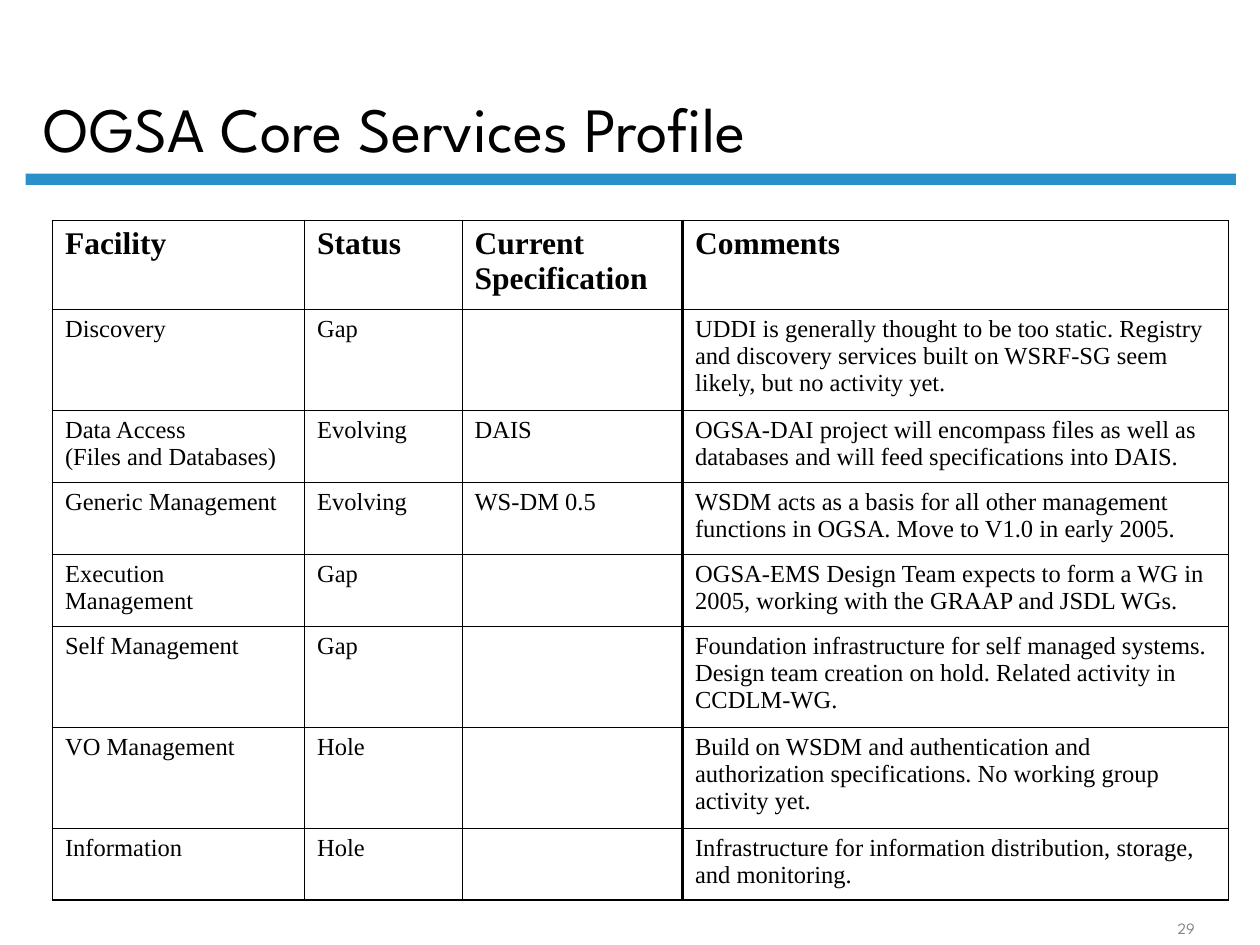
from lxml import etree
from pptx import Presentation
from pptx.dml.color import RGBColor
from pptx.enum import shapes, text
from pptx.oxml.ns import qn
from pptx.util import Pt

THEME = {
    "ink": "000000", "bar": "2990CA", "muted": "848589",
    "display": "League Spartan", "body": "Times New Roman",
    "title": 36, "head": 18, "cell": 14, "page": 9,
    "thin": 0.45, "edge": 1.08, "split": 1.47,
}
TITLE = "OGSA Core Services Profile"
PAGE = "29"
HEADS = ("Facility", "Status", "Current Specification", "Comments")
ROWS = [
    ("Discovery", "Gap", "",
     "UDDI is generally thought to be too static. Registry and discovery "
     "services built on WSRF-SG seem likely, but no activity yet."),
    ("Data Access\n(Files and Databases)", "Evolving", "DAIS",
     "OGSA-DAI project will encompass files as well as databases and will "
     "feed specifications into DAIS."),
    ("Generic Management", "Evolving", "WS-DM 0.5",
     "WSDM acts as a basis for all other management functions in OGSA. "
     "Move to V1.0 in early 2005."),
    ("Execution Management", "Gap", "",
     "OGSA-EMS Design Team expects to form a WG in 2005, working with the "
     "GRAAP and JSDL WGs."),
    ("Self Management", "Gap", "",
     "Foundation infrastructure for self managed systems. Design team "
     "creation on hold. Related activity in CCDLM-WG."),
    ("VO Management", "Hole", "",
     "Build on WSDM and authentication and authorization specifications. "
     "No working group activity yet."),
    ("Information", "Hole", "",
     "Infrastructure for information distribution, storage, and monitoring."),
]
WIDTHS = (144, 90, 126, 312)
HEAD_H = 50.8
LINE_H = {2: 41, 3: 57.9}
LINES = (3, 2, 2, 2, 3, 3, 2)


def style(frame, face, size, color, bold=False):
    for par in frame.paragraphs:
        for run in par.runs:
            form = {"name": face, "size": Pt(size), "bold": bold}
            for key, val in form.items():
                setattr(run.font, key, val)
            run.font.color.rgb = RGBColor.from_string(color)


def add_text(slide, words, spot, size, color, form):
    frame = slide.shapes.add_textbox(*map(Pt, spot)).text_frame
    frame.word_wrap = True
    frame.vertical_anchor = text.MSO_ANCHOR.BOTTOM
    frame.text = words
    for key, val in form.items():
        setattr(frame.paragraphs[0], key, val)
    style(frame, THEME["display"], size, color)


def add_edges(cell, row, col, last):
    """Draw thin inner rules, a firm outer frame and a split before comments."""
    thin, edge, split = (THEME[k] for k in ("thin", "edge", "split"))
    sides = {
        "L": {0: edge, 3: split}.get(col, thin),
        "R": {2: split, 3: edge}.get(col, thin),
        "T": edge if row == 0 else thin,
        "B": edge if row == last else thin,
    }
    props = cell._tc.get_or_add_tcPr()
    for side, width in sides.items():
        line = etree.SubElement(props, qn(f"a:ln{side}"), w=str(int(Pt(width))))
        fill = etree.SubElement(line, qn("a:solidFill"))
        etree.SubElement(fill, qn("a:srgbClr"), val=THEME["ink"])


def add_grid(slide):
    data = [HEADS] + ROWS
    highs = [HEAD_H] + [LINE_H[n] for n in LINES]
    spot = (30, 126, sum(WIDTHS), sum(highs))
    grid = slide.shapes.add_table(len(data), len(HEADS), *map(Pt, spot)).table
    grid.first_row = grid.horz_banding = False
    for col, width in zip(grid.columns, WIDTHS):
        col.width = Pt(width)
    for row, high in zip(grid.rows, highs):
        row.height = Pt(high)
    for r, words in enumerate(data):
        size = THEME["cell" if r else "head"]
        for c, word in enumerate(words):
            cell = grid.cell(r, c)
            cell.text = word
            style(cell.text_frame, THEME["body"], size, THEME["ink"], r == 0)
            add_edges(cell, r, c, len(data) - 1)
            cell.fill.background()


def main():
    deck = Presentation()
    deck.slide_width, deck.slide_height = Pt(720), Pt(540)
    slide = deck.slides.add_slide(deck.slide_layouts[6])
    bar = slide.shapes.add_shape(
        shapes.MSO_SHAPE.RECTANGLE, *map(Pt, (14.7, 99.2, 691.6, 6.5)))
    bar.shadow.inherit = False
    bar.fill.solid()
    bar.fill.fore_color.rgb = RGBColor.from_string(THEME["bar"])
    bar.line.fill.background()
    add_text(slide, TITLE, (18, 8.6, 616.3, 90), THEME["title"],
             THEME["ink"], {"line_spacing": 0.9})
    add_grid(slide)
    add_text(slide, PAGE, (648, 522, 59.8, 17.3), THEME["page"],
             THEME["muted"], {"alignment": text.PP_ALIGN.CENTER})
    deck.save("out.pptx")


if __name__ == "__main__":
    main()
